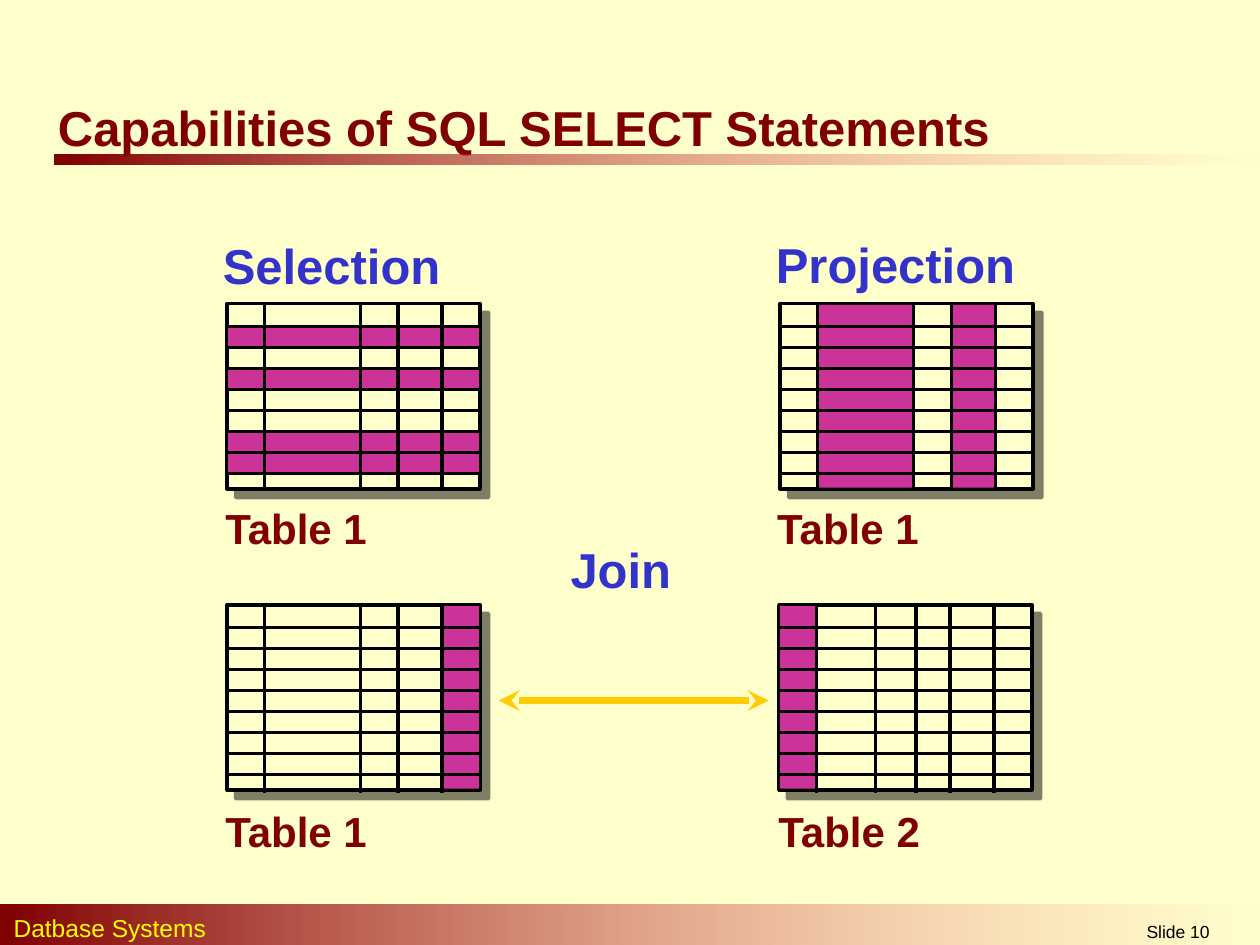
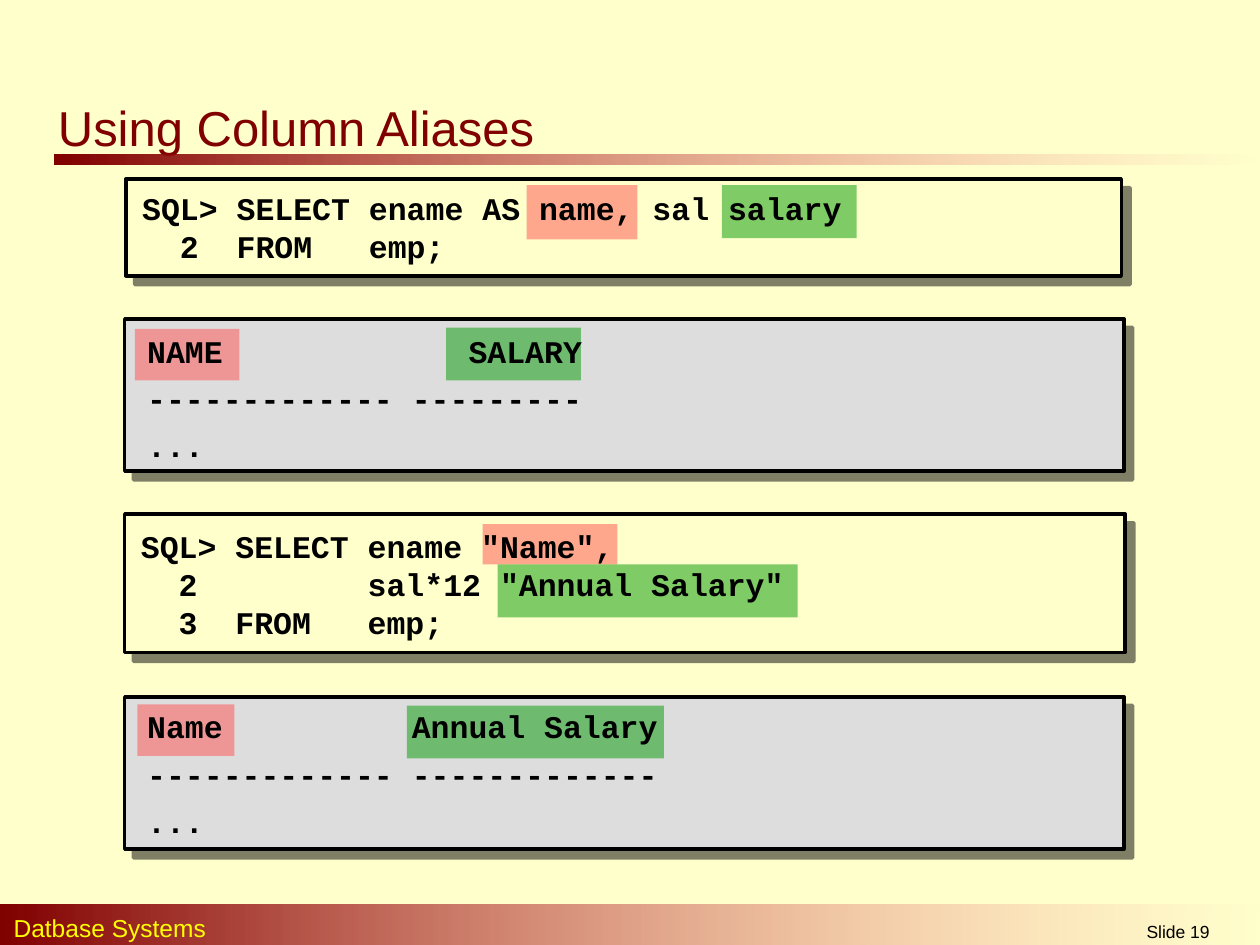
from lxml.etree import SubElement
from pptx import Presentation
from pptx.dml.color import RGBColor
from pptx.enum.shapes import MSO_CONNECTOR, MSO_SHAPE
from pptx.enum.text import MSO_ANCHOR, MSO_AUTO_SIZE, PP_ALIGN
from pptx.oxml.ns import qn
from pptx.util import Inches, Pt

CREAM, MAROON, BLUE, BLACK = "FFFFCC", "800000", "3333CC", "000000"
MAGENTA, GOLD, GREY, YELLOW = "CC3399", "FFCC00", "DDDDDD", "FFFF00"
RED, GREEN, ROSE = "FF5050", "009900", "FF8585"


def add_box(slide, at, fill, fade_to=None, alpha=None, framed=False):
    """Add a rectangle; fade_to fades it out, framed adds outline and shadow."""
    box = slide.shapes.add_shape(MSO_SHAPE.RECTANGLE, *map(Inches, at))
    box.shadow.inherit = False
    props = box._element.spPr
    if fade_to:
        box.fill.gradient()
        box.fill.gradient_angle = 0
        for stop, color in zip(box.fill.gradient_stops, (fill, fade_to)):
            stop.color.rgb = RGBColor.from_string(color)
    else:
        box.fill.solid()
        box.fill.fore_color.rgb = RGBColor.from_string(fill)
    if alpha is not None:
        last_color = list(props.iter(qn("a:srgbClr")))[-1]
        SubElement(last_color, qn("a:alpha"), val=str(alpha * 1000))
    if framed:
        box.line.color.rgb = RGBColor.from_string(BLACK)
        box.line.width = Pt(2)
        shadow = SubElement(props.find(qn("a:effectLst")), qn("a:outerShdw"),
                            blurRad="0", dist=str(Pt(7.1)), dir="2700000",
                            algn="ctr", rotWithShape="0")
        shadow_color = SubElement(shadow, qn("a:srgbClr"), val=BLACK)
        SubElement(shadow_color, qn("a:alpha"), val="50000")
    else:
        box.line.fill.background()


def add_text(slide, text, at, size, color, font="Arial", bold=False,
             align=PP_ALIGN.LEFT, anchor=MSO_ANCHOR.TOP, spacing=1.0, holder=None):
    """Write text into holder, or into a new text box, placed at the given spot."""
    holder = holder or slide.shapes.add_textbox(0, 0, 0, 0)
    holder.left, holder.top, holder.width, holder.height = map(Inches, at)
    frame = holder.text_frame
    frame.text = text
    frame.word_wrap = True
    frame.auto_size = MSO_AUTO_SIZE.NONE
    frame.vertical_anchor = anchor
    for paragraph in frame.paragraphs:
        paragraph.alignment = align
        paragraph.line_spacing = spacing
        paragraph.space_before = Pt(0)
        for run in paragraph.runs:
            run.font.name, run.font.size, run.font.bold = font, Pt(size), bold
            run.font.color.rgb = RGBColor.from_string(color)


deck = Presentation()
deck.slide_width, deck.slide_height = Inches(10), Inches(7.5)

# What both slides share: background, title, rule and footer
pages = []
for title, bold, number in [("Capabilities of SQL SELECT Statements", True, 10),
                            ("Using Column Aliases", False, 19)]:
    page = deck.slides.add_slide(deck.slide_layouts[5])
    page.background.fill.solid()
    page.background.fill.fore_color.rgb = RGBColor.from_string(CREAM)
    add_box(page, (0.43, 1.23, 9.57, 0.08), MAROON, fade_to=ROSE, alpha=0)
    add_box(page, (0, 7.18, 10.03, 0.35), MAROON, fade_to=ROSE, alpha=0)
    add_text(page, "Datbase Systems", (0.01, 7.2, 6.4, 0.34), 14, YELLOW)
    add_text(page, f"Slide {number}", (8.31, 7.26, 2.08, 0.24), 10, BLACK,
             align=PP_ALIGN.CENTER)
    add_text(page, title, (0.36, 0.72, 9.05, 0.51), 28, MAROON, bold=bold,
             holder=page.shapes.title)
    pages.append(page)
capabilities, aliases = pages

# Capabilities: four small grids with their chosen cells filled
GRID_WIDTH, GRID_HEIGHT = 2.01, 1.47
row_edges = [0.01, *(0.18 + row / 6 for row in range(8)), 1.46]
table_1_edges = [0.01, 0.3, 1.06, 1.36, 1.71, 2]
table_2_edges = [0.01, 0.3, 0.77, 1.09, 1.36, 1.71, 2]
# left, top, column edges, chosen (first column, end column, first row, end row)
grids = [
    (1.8, 2.41, table_1_edges, [(0, 5, 1, 2), (0, 5, 3, 4), (0, 5, 6, 8)]),
    (6.19, 2.41, table_1_edges, [(1, 2, 0, 9), (3, 4, 0, 9)]),
    (1.8, 4.8, table_1_edges, [(4, 5, 0, 9)]),
    (6.18, 4.8, table_2_edges, [(0, 1, 0, 9)]),
]
rules = []
for left, top, column_edges, chosen in grids:
    add_box(capabilities, (left, top, GRID_WIDTH, GRID_HEIGHT), CREAM, framed=True)
    for first_col, end_col, first_row, end_row in chosen:
        x, y = column_edges[first_col], row_edges[first_row]
        add_box(capabilities, (left + x, top + y, column_edges[end_col] - x,
                               row_edges[end_row] - y), MAGENTA)
    for y in row_edges[1:-1]:
        rules.append((left - 0.01, top + y, left + 2.02, top + y, BLACK, 2))
    for x in column_edges[1:-1]:
        rules.append((left + x, top - 0.01, left + x, top + 1.49, BLACK, 2))

join_arrow = (3.96, 5.56, 6.1, 5.56, GOLD, 4)
for rule in [*rules, join_arrow]:
    *ends, color, width = rule
    line = capabilities.shapes.add_connector(MSO_CONNECTOR.STRAIGHT, *map(Inches, ends))
    line.line.color.rgb = RGBColor.from_string(color)
    line.line.width = Pt(width)
    SubElement(line._element.spPr, qn("a:effectLst"))
    if rule is join_arrow:
        for end in ("a:headEnd", "a:tailEnd"):
            SubElement(line.line._get_or_add_ln(), qn(end), type="stealth")

for label, left, top, size, color in [
    ("Selection", 1.67, 1.82, 28, BLUE),
    ("Projection", 6.06, 1.81, 28, BLUE),
    ("Join", 4.43, 4.23, 28, BLUE),
    ("Table 1", 1.69, 3.94, 24, MAROON),
    ("Table 1", 6.07, 3.94, 24, MAROON),
    ("Table 1", 1.69, 6.34, 24, MAROON),
    ("Table 2", 6.08, 6.34, 24, MAROON),
]:
    add_text(capabilities, label, (left, top, 2.3, 0.55), size, color, bold=True)

# Aliases: each query above its result, with the alias names marked
for panel, fill in [((1, 1.42, 7.9, 0.77), CREAM), ((0.99, 2.53, 7.93, 1.21), GREY),
                    ((0.99, 4.08, 7.94, 1.1), CREAM), ((0.99, 5.53, 7.93, 1.21), GREY)]:
    add_box(aliases, panel, fill, framed=True)

for mark, color in [
    ((4.18, 1.47, 0.88, 0.43), RED), ((5.73, 1.47, 1.07, 0.42), GREEN),
    ((1.07, 2.61, 0.83, 0.41), RED), ((3.54, 2.6, 1.07, 0.42), GREEN),
    ((3.83, 4.16, 1.07, 0.32), RED), ((3.95, 4.48, 2.38, 0.42), GREEN),
    ((1.09, 5.59, 0.77, 0.41), RED), ((3.23, 5.6, 2.04, 0.42), GREEN),
]:
    add_box(aliases, mark, color, alpha=50)

queries = [
    ("SQL> SELECT ename AS name, sal salary\n"
     "  2  FROM   emp;", (1.03, 1.4, 7.93, 0.8)),
    ('SQL> SELECT ename "Name",\n'
     '  2         sal*12 "Annual Salary"\n'
     "  3  FROM   emp;", (1.02, 4.07, 7.97, 1.13)),
]
results = [
    ("NAME             SALARY\n"
     "------------- ---------\v...", (1.07, 2.51, 5, 1.23)),
    ("Name          Annual Salary\n"
     "------------- -------------\v...", (1.07, 5.49, 5, 1.23)),
]
for listings, anchor, spacing in [(queries, MSO_ANCHOR.MIDDLE, 1.0),
                                  (results, MSO_ANCHOR.TOP, 1.25)]:
    for code, at in listings:
        add_text(aliases, code, at, 18, BLACK, font="Courier New", bold=True,
                 anchor=anchor, spacing=spacing)

deck.save("out.pptx")
